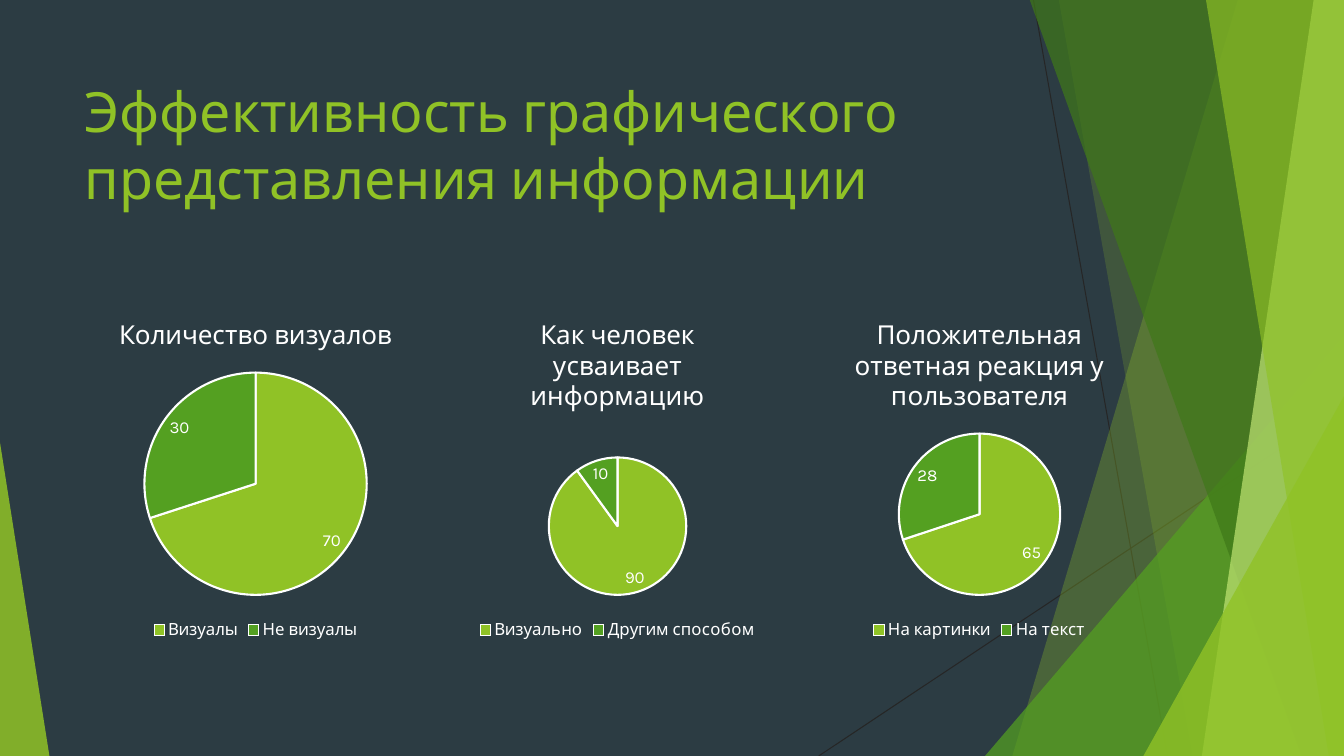
from dataclasses import dataclass
from typing import Any

from lxml import etree
from pptx import Presentation
from pptx.chart import data as chart_data
from pptx.dml import color
from pptx.enum import chart as chart_enums, shapes, text
from pptx.oxml import ns
from pptx import util as u

EMU_PER_PX = 9144
WIDTH, HEIGHT = 1333, 750
FONT = "Karla"
WHITE, LIME, GREEN, DARK = "FFFFFF", "90C226", "54A021", "262626"


@dataclass(frozen=True)
class Ray:
    x1: int
    y1: int
    x2: int
    y2: int


@dataclass(frozen=True)
class Wedge:
    top_x: int
    bottom_x: int
    colour: str
    opacity: int


@dataclass(frozen=True)
class Corner:
    left: int
    top: int
    width: int
    apex: int
    colour: str
    opacity: int


@dataclass(frozen=True)
class Pie:
    title: str
    values: dict[str, int]


RAYS = [Ray(1025, 0, 1158, HEIGHT), Ray(WIDTH, 403, 812, HEIGHT)]
FACETS = [
    Wedge(1228, 1004, LIME, 30),
    Wedge(1050, 1183, LIME, 20),
    Corner(977, 333, 356, 1, GREEN, 72),
    Wedge(1021, 1291, "3F7819", 70),
    Wedge(1303, 1192, "C0E474", 70),
    Wedge(1196, 1318, LIME, 65),
    Corner(1134, 393, 199, 1, LIME, 80),
    Corner(0, 439, 49, 0, LIME, 85),
]
PIES = [
    Pie("Количество визуалов", {"Визуалы": 70, "Не визуалы": 30}),
    Pie("Как человек усваивает информацию", {"Визуально": 90, "Другим способом": 10}),
    Pie("Положительная ответная реакция у пользователя", {"На картинки": 65, "На текст": 28}),
]
PIE_LEFT, PIE_TOP, PIE_WIDTH, PIE_HEIGHT = 74, 298, 359, 341


def px(value: int) -> u.Emu:
    return u.Emu(value * EMU_PER_PX)


def rgb(value: str) -> color.RGBColor:
    return color.RGBColor.from_string(value)


def apply(target: Any, values: dict[str, Any]) -> None:
    for name, value in values.items():
        setattr(target, name, value)


def style_font(font: Any, size: float, colour: str = WHITE) -> None:
    apply(font, {"name": FONT, "size": u.Pt(size), "bold": False})
    font.color.rgb = rgb(colour)


def paint(shape: Any, colour: str, opacity: int) -> None:
    shape.shadow.inherit = False
    shape.line.fill.background()
    shape.fill.solid()
    shape.fill.fore_color.rgb = rgb(colour)
    colour_element = shape.fill._xPr.find(".//" + ns.qn("a:srgbClr"))
    etree.SubElement(colour_element, ns.qn("a:alpha"), val=str(opacity * 1000))


def draw_ray(slide: Any, ray: Ray) -> None:
    connector = slide.shapes.add_connector(
        shapes.MSO_CONNECTOR.STRAIGHT, px(ray.x1), px(ray.y1), px(ray.x2), px(ray.y2)
    )
    connector.line.width = u.Pt(0.75)
    connector.line.color.rgb = rgb(DARK)
    etree.SubElement(connector._element.spPr, ns.qn("a:effectLst"))


def draw_facet(slide: Any, facet: Wedge | Corner) -> None:
    if isinstance(facet, Wedge):
        builder = slide.shapes.build_freeform(facet.top_x, -1, scale=EMU_PER_PX)
        builder.add_line_segments(
            [(WIDTH, -1), (WIDTH, HEIGHT), (facet.bottom_x, HEIGHT)], close=True
        )
        shape = builder.convert_to_shape()
    else:
        shape = slide.shapes.add_shape(
            shapes.MSO_SHAPE.ISOSCELES_TRIANGLE,
            px(facet.left), px(facet.top), px(facet.width), px(HEIGHT - facet.top),
        )
        shape.adjustments[0] = facet.apex
    paint(shape, facet.colour, facet.opacity)


def draw_title(slide: Any, wording: str) -> None:
    frame = slide.shapes.add_textbox(px(74), px(67), px(940), px(151)).text_frame
    apply(frame, {"word_wrap": True, "vertical_anchor": text.MSO_ANCHOR.MIDDLE})
    run = frame.paragraphs[0].add_run()
    run.text = wording
    style_font(run.font, 39.6, LIME)


def draw_pie(slide: Any, pie: Pie, column: int) -> None:
    data = chart_data.CategoryChartData()
    data.categories = list(pie.values)
    data.add_series(pie.title, list(pie.values.values()))
    chart = slide.shapes.add_chart(
        chart_enums.XL_CHART_TYPE.PIE,
        px(PIE_LEFT + column * PIE_WIDTH), px(PIE_TOP), px(PIE_WIDTH), px(PIE_HEIGHT), data,
    ).chart
    style_font(chart.font, 10)
    apply(chart, {"has_title": True, "has_legend": True})
    chart.chart_title.include_in_layout = False
    run = chart.chart_title.text_frame.paragraphs[0].add_run()
    run.text = pie.title
    style_font(run.font, 18.6)
    apply(chart.legend, {
        "position": chart_enums.XL_LEGEND_POSITION.BOTTOM,
        "include_in_layout": False,
    })
    style_font(chart.legend.font, 12)

    plot = chart.plots[0]
    apply(plot, {"vary_by_categories": True, "has_data_labels": True})
    apply(plot.data_labels, {
        "show_value": True,
        "show_percentage": False,
        "position": chart_enums.XL_LABEL_POSITION.BEST_FIT,
    })
    style_font(plot.data_labels.font, 12)
    for index, colour in enumerate((LIME, GREEN)):
        point = plot.series[0].points[index].format
        point.fill.solid()
        point.fill.fore_color.rgb = rgb(colour)
        point.line.width = u.Pt(1.5)
        point.line.color.rgb = rgb(WHITE)


def main() -> None:
    presentation = Presentation()
    apply(presentation, {"slide_width": px(WIDTH), "slide_height": px(HEIGHT)})
    slide = presentation.slides.add_slide(presentation.slide_layouts[6])
    slide.background.fill.solid()
    slide.background.fill.fore_color.rgb = rgb("2C3C43")
    for ray in RAYS:
        draw_ray(slide, ray)
    for facet in FACETS:
        draw_facet(slide, facet)
    draw_title(slide, "Эффективность графического представления информации")
    for column, pie in enumerate(PIES):
        draw_pie(slide, pie, column)
    presentation.save("out.pptx")


if __name__ == "__main__":
    main()
